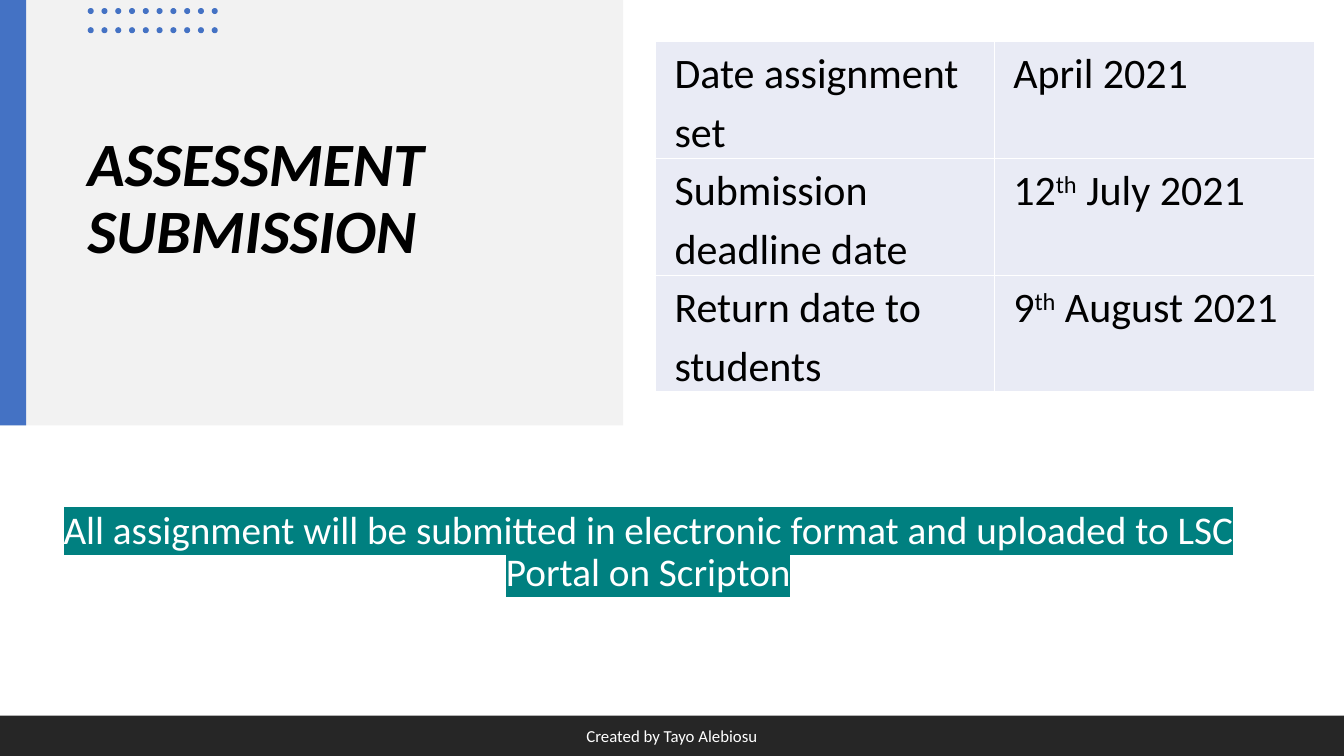
from itertools import product

from lxml import etree
from pptx import Presentation
from pptx.dml.color import RGBColor
from pptx.enum.shapes import MSO_SHAPE as Shape
from pptx.enum.text import MSO_ANCHOR as Anchor, PP_ALIGN as Align
from pptx.oxml.ns import qn
from pptx.util import Inches, Pt

BLUE, WHITE, BLACK = "4472C4", "FFFFFF", "000000"
DATES = [
    ("Date assignment set", ["April 2021"]),
    ("Submission deadline date", ["12", "th", " July 2021"]),
    ("Return date to students", ["9", "th", " August 2021"]),
]


def color(value):
    return RGBColor.from_string(value)


def apply(target, formats):
    for name, value in formats.items():
        setattr(target, name, value)


def add_fill(parent, kind, box, fill):
    piece = parent.add_shape(kind, *map(Inches, box))
    piece.shadow.inherit = False
    piece.fill.solid()
    piece.fill.fore_color.rgb = color(fill)
    piece.line.fill.background()


def add_run(paragraph, text, size, ink, **formats):
    run = paragraph.add_run()
    run.text = text
    apply(run.font, {"name": "Calibri", "size": Pt(size), **formats})
    run.font.color.rgb = color(ink)
    return run


def add_text(slide, box, text, size, ink, bottom=0.05, paragraph_format=None, **formats):
    frame = slide.shapes.add_textbox(*map(Inches, box)).text_frame
    apply(frame, {"word_wrap": True, "vertical_anchor": Anchor.MIDDLE,
                  "margin_bottom": Inches(bottom)})
    paragraph = frame.paragraphs[0]
    apply(paragraph, paragraph_format or {})
    return add_run(paragraph, text, size, ink, **formats)


def highlight(run, fill):
    ink = run.font._element.find(qn("a:solidFill"))
    marker = etree.Element(qn("a:highlight"))
    etree.SubElement(marker, qn("a:srgbClr"), val=fill)
    ink.addnext(marker)


def add_dots(slide, left, top, columns=10, rows=2):
    dots = slide.shapes.add_group_shape().shapes
    for column, row in product(range(columns), range(rows)):
        box = (left + column * 1.23 / 9, top + row * 0.19, 0.06, 0.06)
        add_fill(dots, Shape.OVAL, box, BLUE)


def add_title_panel(slide, left, top, width, height):
    add_fill(slide.shapes, Shape.RECTANGLE, (left, top, width, height), "F2F2F2")
    add_text(slide, (left + 0.77, top + 0.78, 4.76, 3.08), "ASSESSMENT SUBMISSION",
             44, BLACK, bottom=0.72, paragraph_format={"line_spacing": 0.9},
             bold=True, italic=True)
    add_fill(slide.shapes, Shape.RECTANGLE, (left, top, 0.26, height), BLUE)
    add_dots(slide, left + 0.87, top + 0.08)


def add_borders(cell):
    properties = cell._tc.get_or_add_tcPr()
    for index, side in enumerate(("lnL", "lnR", "lnT", "lnB")):
        line = etree.Element(qn(f"a:{side}"), w=str(Pt(1)))
        fill = etree.SubElement(line, qn("a:solidFill"))
        etree.SubElement(fill, qn("a:srgbClr"), val=WHITE)
        properties.insert(index, line)


def fill_cell(cell, pieces):
    apply(cell, {"margin_left": Inches(0.19), "margin_right": Inches(0.19),
                 "margin_top": 0, "margin_bottom": 0})
    cell.fill.solid()
    cell.fill.fore_color.rgb = color("E9EBF5")
    add_borders(cell)
    paragraph = cell.text_frame.paragraphs[0]
    paragraph.line_spacing = 1.15
    for piece in pieces:
        run = add_run(paragraph, piece, 30, BLACK)
        if piece == "th":
            run.font._element.set("baseline", "30000")


def add_dates(slide, left, top, width, height):
    box = map(Inches, (left, top, width, height))
    dates = slide.shapes.add_table(len(DATES), 2, *box).table
    apply(dates, {"first_row": False, "horz_banding": False})
    dates.columns[0].width = Inches(3.36)
    dates.columns[1].width = Inches(width - 3.36)
    for row, (event, day) in enumerate(DATES):
        fill_cell(dates.cell(row, 0), [event])
        fill_cell(dates.cell(row, 1), day)


def add_instruction(slide, *box):
    instruction = add_text(
        slide, box,
        "All assignment will be submitted in electronic format and uploaded to "
        "LSC Portal on Scripton",
        28, WHITE, bottom=0.44,
        paragraph_format={"alignment": Align.CENTER, "line_spacing": 0.9})
    highlight(instruction, "008080")


def add_footer(slide, left, top, width, height):
    add_fill(slide.shapes, Shape.RECTANGLE, (left, top, width, height), "262626")
    add_text(slide, (left + (width - 4.5) / 2, top, 4.5, height),
             "Created by Tayo Alebiosu", 12, WHITE,
             paragraph_format={"alignment": Align.CENTER})


def main():
    deck = Presentation()
    apply(deck, {"slide_width": Inches(13.33), "slide_height": Inches(7.5)})
    slide = deck.slides.add_slide(deck.slide_layouts[6])
    add_title_panel(slide, 0, 0, 6.18, 4.22)
    add_instruction(slide, 0.26, 4.48, 12.34, 2.4)
    add_footer(slide, 0, 7.1, 13.33, 0.4)
    add_dates(slide, 6.5, 0.41, 6.54, 3.48)
    deck.save("out.pptx")


if __name__ == "__main__":
    main()
